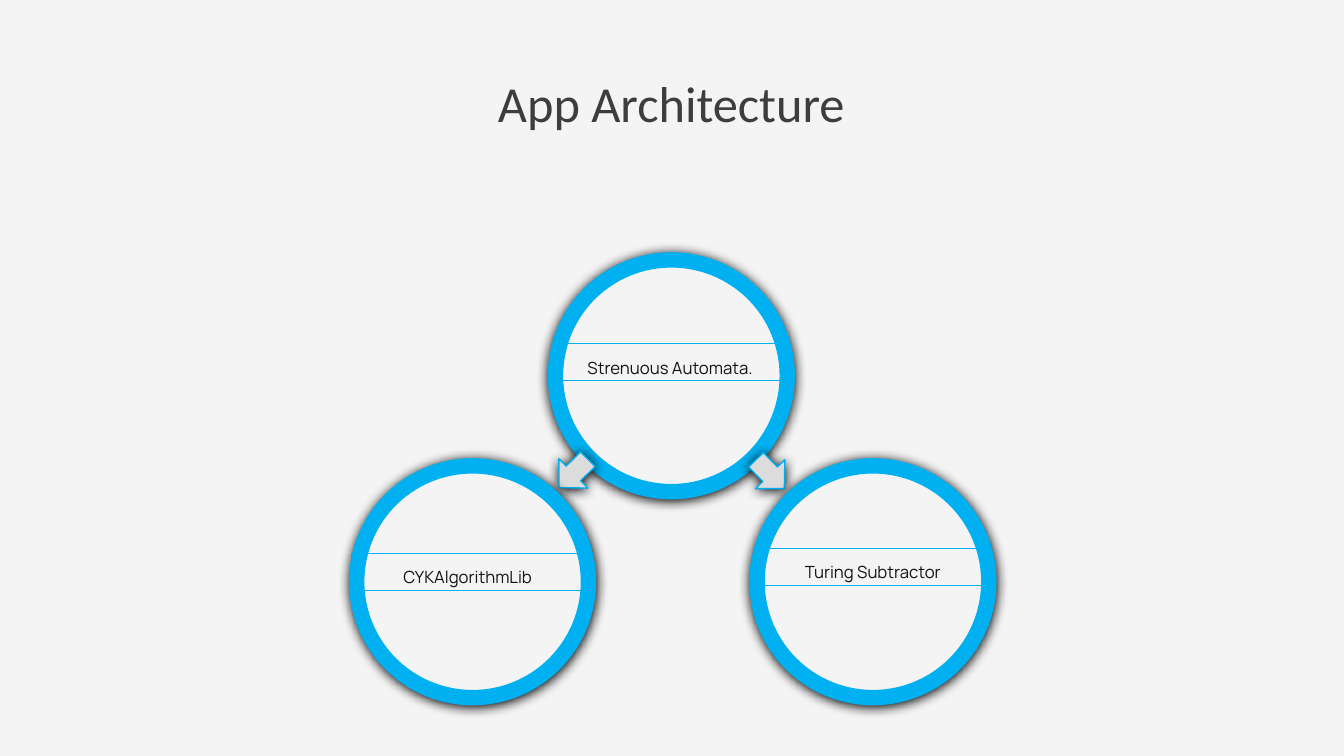
"""Build the App Architecture slide: one parent circle pointing to two parts."""
from dataclasses import dataclass

from lxml import etree
from pptx import Presentation
from pptx import util as u
from pptx.dml.color import RGBColor
from pptx.enum import shapes, text
from pptx.oxml import ns

HUES = {
    "back": "F4F4F4",
    "ring": "00B0F0",
    "arrow": "DCDCDC",
    "label": "131313",
    "title": "3D3D3D",
    "shade": "000000",
}
DISC = 5.84
BAND = 0.94


@dataclass(frozen=True)
class Node:
    name: str
    x: float
    y: float
    text_x: float
    text_y: float


@dataclass(frozen=True)
class Arrow:
    x: float
    y: float
    turn: float


ROOT = Node("Strenuous Automata.", 16.92, 9.47, 16.89, 9.13)
PARTS = (
    Node("Turing Subtractor", 22, 14.66, 22, 14.29),
    Node("CYKAlgorithmLib", 11.91, 14.66, 11.79, 14.41),
)
ARROWS = (Arrow(19.41, 11.95, 45.4), Arrow(14.45, 11.93, 135.4))


def hue(key: str) -> RGBColor:
    return RGBColor.from_string(HUES[key])


def frame(x: float, y: float, wide: float, high: float) -> tuple:
    return u.Cm(x - wide / 2), u.Cm(y - high / 2), u.Cm(wide), u.Cm(high)


def add_shade(shape) -> None:
    props = shape.fill._xPr
    list_tag = ns.qn("a:effectLst")
    for old in props.findall(list_tag):
        props.remove(old)
    glow = etree.SubElement(
        etree.SubElement(props, list_tag), ns.qn("a:outerShdw"),
        blurRad=str(u.Pt(8.5)), dist=str(u.Pt(1)), dir="5400000",
        algn="ctr", rotWithShape="0")
    etree.SubElement(glow, ns.qn("a:srgbClr"), val=HUES["shade"])


def add_solid(slide, kind, box: tuple, fill: str, line: float):
    shape = slide.shapes.add_shape(kind, *box)
    shape.fill.solid()
    shape.fill.fore_color.rgb = hue(fill)
    shape.line.color.rgb = hue("ring")
    shape.line.width = u.Pt(line)
    add_shade(shape)
    return shape


def write(shape, words: str, font: str, size: float, tone: str, gap: float) -> None:
    body = shape.text_frame
    body.word_wrap = True
    body.vertical_anchor = text.MSO_ANCHOR.MIDDLE
    para = body.paragraphs[0]
    para.alignment = text.PP_ALIGN.CENTER
    para.line_spacing = gap
    run = para.add_run()
    run.text = words
    run.font.name = font
    run.font.size = u.Pt(size)
    run.font.color.rgb = hue(tone)


def add_node(slide, node: Node) -> None:
    add_solid(slide, shapes.MSO_SHAPE.OVAL,
              frame(node.x, node.y, DISC, DISC), "back", 11)


def add_label(slide, node: Node) -> None:
    band = slide.shapes.add_shape(
        shapes.MSO_SHAPE.RECTANGLE,
        *frame(node.text_x, node.text_y, DISC, BAND))
    band.shadow.inherit = False
    band.fill.background()
    band.line.color.rgb = hue("ring")
    band.line.width = u.Pt(0.75)
    write(band, node.name, "Manrope", 12, "label", 1.5)


def add_arrow(slide, arrow: Arrow) -> None:
    shape = add_solid(slide, shapes.MSO_SHAPE.RIGHT_ARROW,
                      frame(arrow.x, arrow.y, 1.02, 1.04), "arrow", 1)
    shape.rotation = arrow.turn


def main() -> None:
    deck = Presentation()
    deck.slide_width, deck.slide_height = u.Cm(33.87), u.Cm(19.05)
    slide = deck.slides.add_slide(deck.slide_layouts[6])
    slide.background.fill.solid()
    slide.background.fill.fore_color.rgb = hue("back")

    add_node(slide, ROOT)
    for arrow in ARROWS:
        add_arrow(slide, arrow)
    add_label(slide, ROOT)
    for part in PARTS:
        add_node(slide, part)
        add_label(slide, part)

    title = slide.shapes.add_textbox(*frame(16.92, 2.58, 10, 1.8))
    write(title, "App Architecture", "Calibri", 36, "title", 1.0)
    deck.save("out.pptx")


if __name__ == "__main__":
    main()
